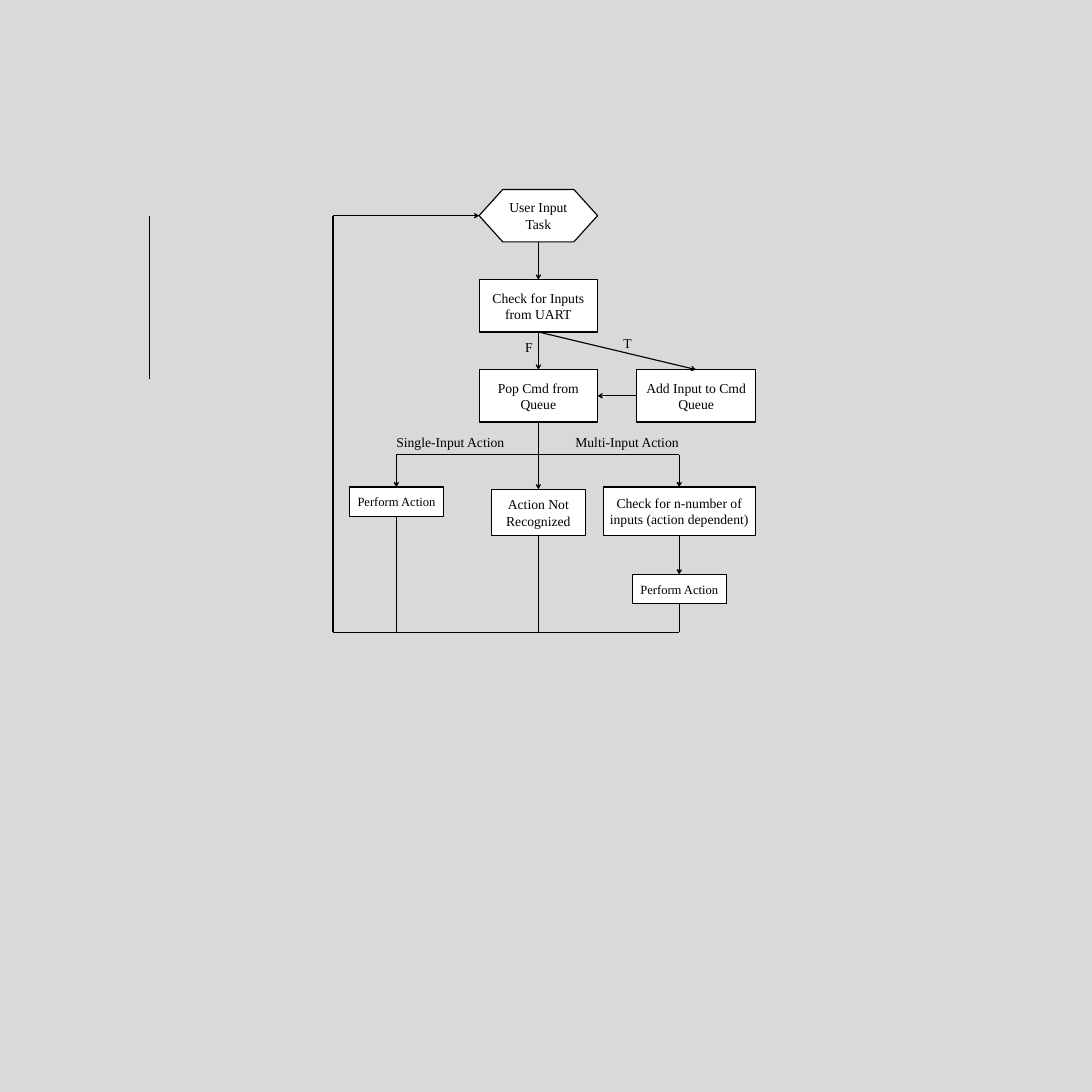
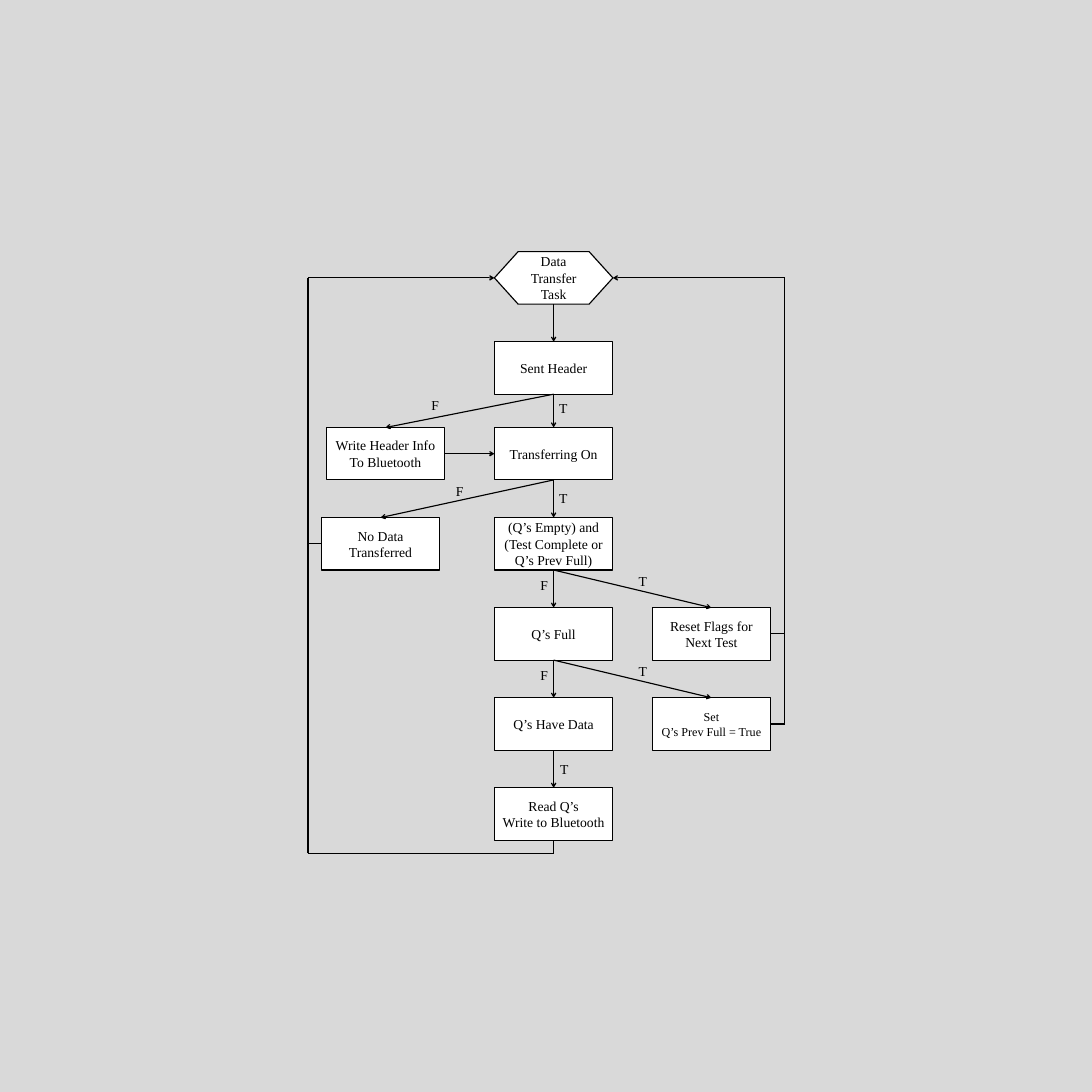
from itertools import pairwise

from lxml import etree
from pptx import Presentation
from pptx.dml.color import RGBColor
from pptx.enum.shapes import MSO_CONNECTOR, MSO_SHAPE
from pptx.enum.text import MSO_ANCHOR, PP_ALIGN
from pptx.oxml.ns import qn
from pptx.util import Inches, Pt

BLACK = RGBColor(0, 0, 0)
WHITE = RGBColor(255, 255, 255)
GRAY = RGBColor(0xD9, 0xD9, 0xD9)
FONT = "Times New Roman"
TOP, LEFT, BOTTOM, RIGHT = range(4)  # connection sites of a box
BOX_WIDTH, BOX_HEIGHT = 2.17, 0.96
ROW_STEP = 1.65


def edge(box, side):
    """Return the middle of one side of a box, in inches."""
    left, top = box.left.inches, box.top.inches
    width, height = box.width.inches, box.height.inches
    across, down = {TOP: (0.5, 0), LEFT: (0, 0.5),
                    BOTTOM: (0.5, 1), RIGHT: (1, 0.5)}[side]
    return left + across * width, top + down * height


class Flowchart:
    """Holds the shared style and the slide being drawn."""

    def __init__(self):
        self.deck = Presentation()
        self.deck.slide_width = self.deck.slide_height = Inches(20)
        fill = self.deck.slide_master.background.fill
        fill.solid()
        fill.fore_color.rgb = GRAY
        self.slide = None

    def new_slide(self):
        self.slide = self.deck.slides.add_slide(self.deck.slide_layouts[6])

    def add_text(self, frame, text, size, align):
        frame.word_wrap = True
        for index, words in enumerate(text.split("\n")):
            para = frame.paragraphs[0] if index == 0 else frame.add_paragraph()
            para.alignment = align
            span = para.add_run()
            span.text = words
            span.font.name = FONT
            span.font.size = Pt(size)
            span.font.color.rgb = BLACK

    def box(self, text, center, top, width=BOX_WIDTH, height=BOX_HEIGHT,
            size=18, kind=MSO_SHAPE.FLOWCHART_PROCESS):
        box = self.slide.shapes.add_shape(
            kind, Inches(center - width / 2), Inches(top), Inches(width), Inches(height))
        box.shadow.inherit = False
        box.fill.solid()
        box.fill.fore_color.rgb = WHITE
        box.line.color.rgb = BLACK
        box.line.width = Pt(1.5)
        box.text_frame.vertical_anchor = MSO_ANCHOR.MIDDLE
        self.add_text(box.text_frame, text, size, PP_ALIGN.CENTER)
        return box

    def task(self, text, center, top):
        return self.box(text, center, top, kind=MSO_SHAPE.FLOWCHART_PREPARATION)

    def label(self, text, left, top, width=0.35, align=PP_ALIGN.LEFT):
        box = self.slide.shapes.add_textbox(
            Inches(left), Inches(top), Inches(width), Inches(0.4))
        self.add_text(box.text_frame, text, 18, align)

    def line(self, start, end, arrow=False):
        line = self.slide.shapes.add_connector(
            MSO_CONNECTOR.STRAIGHT, *(Inches(value) for value in (*start, *end)))
        line.line.color.rgb = BLACK
        line.line.width = Pt(1.5)
        properties = line._element.spPr
        if arrow:
            etree.SubElement(properties.find(qn("a:ln")), qn("a:tailEnd"), type="arrow")
        etree.SubElement(properties, qn("a:effectLst"))
        return line

    def link(self, source, target, out=BOTTOM, into=TOP):
        """Draw an arrow glued to two boxes."""
        line = self.line(edge(source, out), edge(target, into), arrow=True)
        line.begin_connect(source, out)
        line.end_connect(target, into)

    def route(self, *points):
        """Draw a bent path with an arrowhead on its last leg."""
        legs = list(pairwise(points))
        for start, end in legs[:-1]:
            self.line(start, end)
        self.line(*legs[-1], arrow=True)


def user_input_slide(chart):
    chart.new_slide()
    main_x, left, right = 9.86, 7.26, 12.44
    first, fork, rail_x, rail_y = 3.47, 8.33, 6.1, 11.58
    task = chart.task("User Input Task", main_x, first)
    check = chart.box("Check for Inputs from UART", main_x, first + ROW_STEP)
    pop = chart.box("Pop Cmd from Queue", main_x, first + 2 * ROW_STEP)
    add = chart.box("Add Input to Cmd Queue", 12.75, first + 2 * ROW_STEP)
    single = chart.box("Perform Action", left, 8.92, 1.72, 0.54, 16.6)
    unknown = chart.box("Action Not Recognized", main_x, 8.96, 1.72, 0.85)
    multi = chart.box("Check for n-number of inputs (action dependent)",
                      right, 8.92, 2.78, 0.89)
    perform = chart.box("Perform Action", right, 10.52, 1.72, 0.54, 16.6)

    for source, target in [(task, check), (check, pop), (check, add),
                           (pop, unknown), (multi, perform)]:
        chart.link(source, target)
    chart.link(add, pop, LEFT, RIGHT)
    for branch, center in [(single, left), (multi, right)]:
        chart.route((main_x, fork), (center, fork), edge(branch, TOP))
    for ending, center in [(single, left), (unknown, main_x)]:
        chart.line(edge(ending, BOTTOM), (center, rail_y))
    entry = edge(task, LEFT)
    chart.route(edge(perform, BOTTOM), (right, rail_y), (rail_x, rail_y),
                (rail_x, entry[1]), entry)
    chart.line((2.74, 3.96), (2.74, 6.94))

    chart.label("T", 11.32, 6.09)
    chart.label("F", 9.52, 6.16)
    chart.label("Single-Input Action", 7.16, 7.89, 2.21)
    chart.label("Multi-Input Action", 10.32, 7.89, 2.21, PP_ALIGN.RIGHT)


def data_transfer_slide(chart):
    chart.new_slide()
    main_x, right = 10.14, 13.03
    first, third = 4.61, 7.83
    left_rail, right_rail, rail_y = 5.64, 14.37, 15.63
    rows = [third + ROW_STEP * step for step in range(5)]
    task = chart.task("Data\nTransfer Task", main_x, first)
    header = chart.box("Sent Header", main_x, first + ROW_STEP)
    names = ["Transferring On", "(Q’s Empty) and (Test Complete or Q’s Prev Full)",
             "Q’s Full", "Q’s Have Data", "Read Q’s\nWrite to Bluetooth"]
    steps = [chart.box(name, main_x, top) for name, top in zip(names, rows)]
    transferring, empty, full = steps[:3]
    header_info = chart.box("Write Header Info To Bluetooth", 7.06, rows[0])
    no_data = chart.box("No Data Transferred", 6.97, rows[1])
    reset = chart.box("Reset Flags for Next Test", right, rows[2])
    set_flag = chart.box("Set\nQ’s Prev Full = True", right, rows[3], size=16)

    for source, target in pairwise([task, header, *steps]):
        chart.link(source, target)
    for source, target in [(header, header_info), (transferring, no_data),
                           (empty, reset), (full, set_flag)]:
        chart.link(source, target)
    chart.link(header_info, transferring, RIGHT, LEFT)

    entry = edge(task, LEFT)
    chart.route(edge(steps[-1], BOTTOM), (main_x, rail_y), (left_rail, rail_y),
                (left_rail, entry[1]), entry)
    entry, start = edge(task, RIGHT), edge(set_flag, RIGHT)
    chart.route(start, (right_rail, start[1]), (right_rail, entry[1]), entry)
    for box, side, rail in [(no_data, LEFT, left_rail), (reset, RIGHT, right_rail)]:
        start = edge(box, side)
        chart.line(start, (rail, start[1]))

    for text, left, top in [("F", 7.8, 7.22), ("T", main_x, 7.27),
                            ("F", 8.25, 8.79), ("T", main_x, 8.92),
                            ("T", 10.16, 13.88)]:
        chart.label(text, left, top)
    for top in (10.44, 10.44 + ROW_STEP):
        chart.label("T", 11.6, top)
        chart.label("F", 9.8, top + 0.08)


def main():
    chart = Flowchart()
    user_input_slide(chart)
    data_transfer_slide(chart)
    chart.deck.save("out.pptx")


if __name__ == "__main__":
    main()
